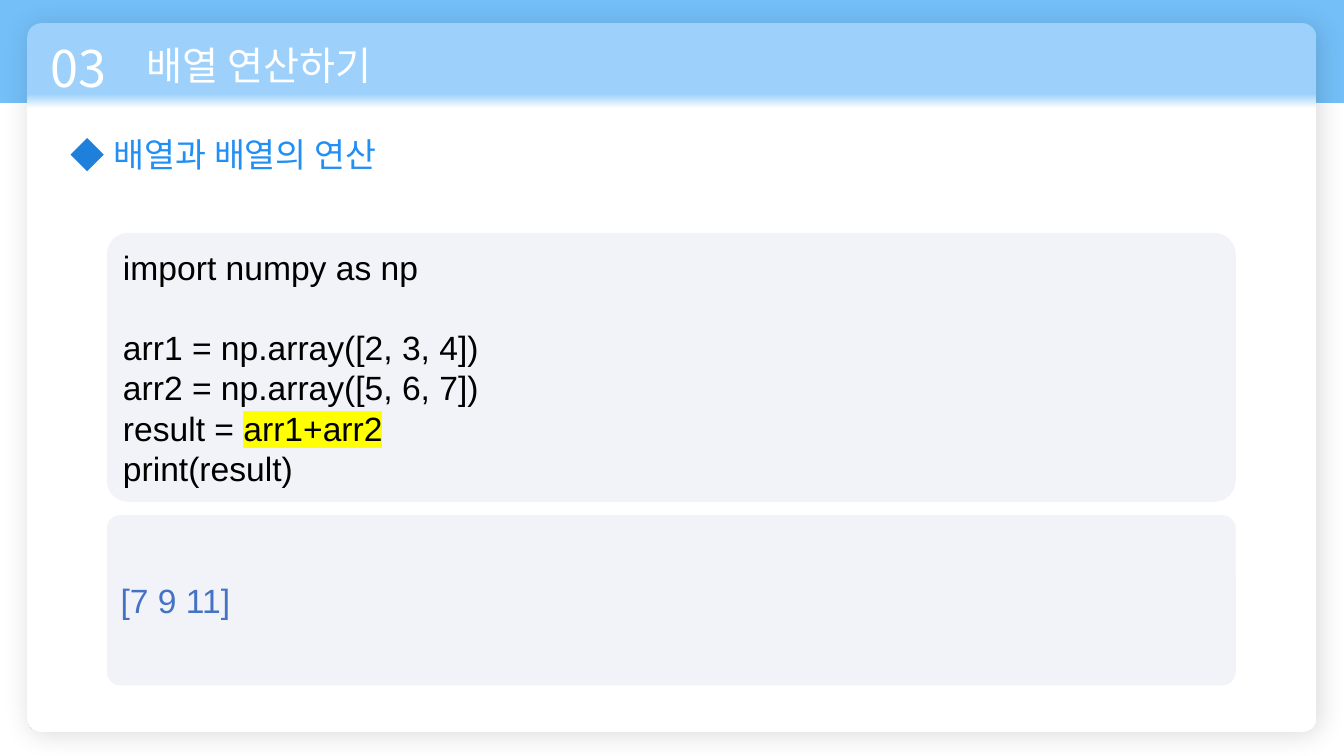
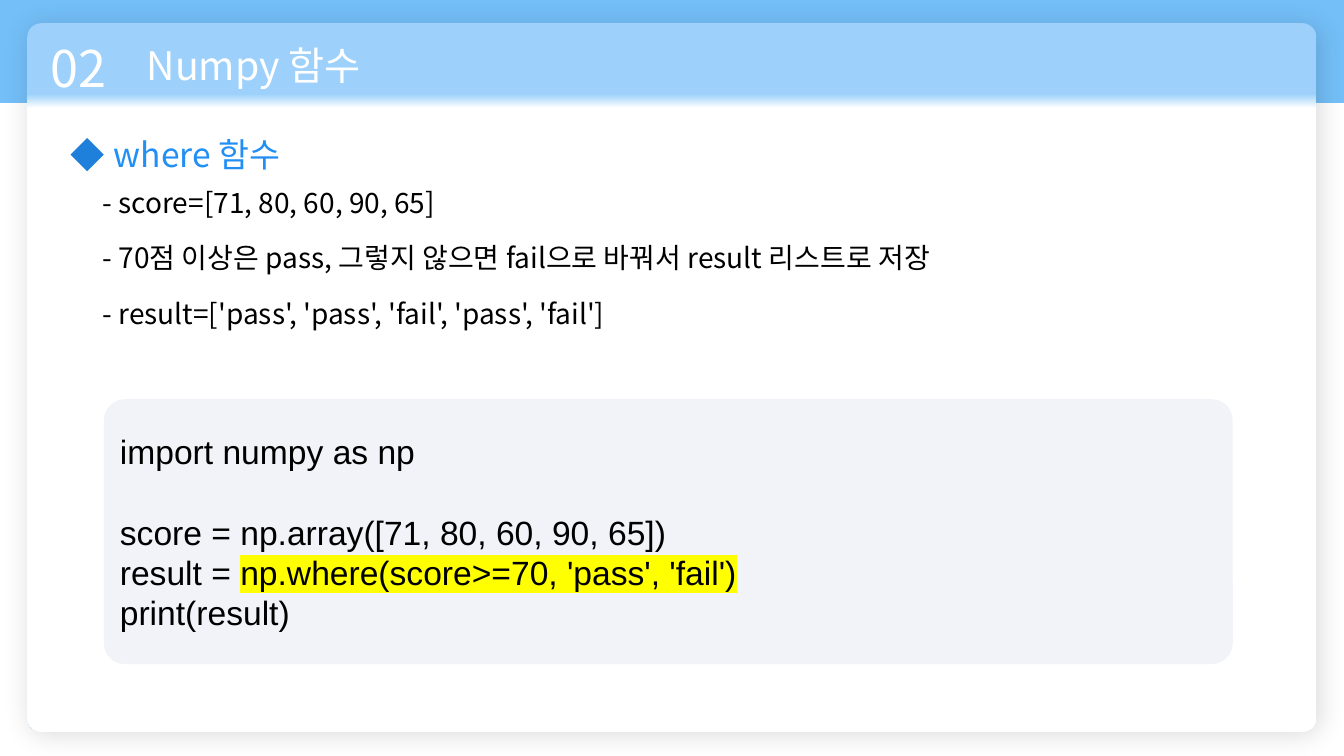
from dataclasses import dataclass

from lxml import etree
from pptx import Presentation
from pptx.dml.color import RGBColor
from pptx.enum.shapes import MSO_SHAPE
from pptx.enum.text import MSO_ANCHOR, MSO_AUTO_SIZE, PP_ALIGN
from pptx.oxml import parse_xml
from pptx.oxml.ns import nsdecls, qn
from pptx.shapes.autoshape import Shape
from pptx.slide import Slide
from pptx.text.text import TextFrame
from pptx.util import Inches, Pt

RECT, ROUND, GEM = MSO_SHAPE.RECTANGLE, MSO_SHAPE.ROUNDED_RECTANGLE, MSO_SHAPE.DIAMOND
LEFT, MIDDLE, GROW = PP_ALIGN.LEFT, MSO_ANCHOR.MIDDLE, MSO_AUTO_SIZE.SHAPE_TO_FIT_TEXT

WHITE = RGBColor(0xFF, 0xFF, 0xFF)
BLACK = RGBColor(0x00, 0x00, 0x00)
SKY = RGBColor(0x74, 0xBF, 0xF8)
PALE = RGBColor(0x9D, 0xD1, 0xFB)
BRIGHT = RGBColor(0x22, 0x8F, 0xF4)
DEEP = RGBColor(0x1F, 0x80, 0xDB)
GREY = RGBColor(0xF2, 0xF3, 0xF9)
BLUE = RGBColor(0x44, 0x72, 0xC4)
YELLOW = RGBColor(0xFF, 0xFF, 0x00)

SANS = "Noto Sans CJK KR"
CODE = "Arial"
CELL = Inches(0.1)
COLS, ROWS = 133.33, 75
PITCH = Pt(28.8)
NOTE_TOP, NOTE_STEP = 17.9, 5.5


@dataclass(frozen=True)
class Box:
    col: float
    row: float
    cols: float
    rows: float

    def place(self) -> tuple[int, ...]:
        return tuple(round(n * CELL) for n in (self.col, self.row, self.cols, self.rows))


@dataclass(frozen=True)
class Panel:
    box: Box
    code: str
    mark: str = ""
    ink: RGBColor = BLACK


@dataclass(frozen=True)
class Page:
    number: str
    title: str
    topic: str
    panels: tuple[Panel, ...]
    notes: tuple[str, ...] = ()


PAGES = (
    Page("03", "배열 연산하기", "배열과 배열의 연산", (
        Panel(Box(10.6, 23.1, 112, 26.7), """import numpy as np

arr1 = np.array([2, 3, 4])
arr2 = np.array([5, 6, 7])
result = arr1+arr2
print(result)""", "arr1+arr2"),
        Panel(Box(10.6, 51.1, 112, 16.9), "[7 9 11]", ink=BLUE),
    )),
    Page("02", "Numpy 함수", "where 함수", (
        Panel(Box(10.3, 39.6, 112, 26.3), """import numpy as np

score = np.array([71, 80, 60, 90, 65])
result = np.where(score>=70, 'pass', 'fail')
print(result)""", "np.where(score>=70, 'pass', 'fail')"),
    ), (
        "- score=[71, 80, 60, 90, 65]",
        "- 70점 이상은 pass, 그렇지 않으면 fail으로 바꿔서 result 리스트로 저장",
        "- result=['pass', 'pass', 'fail', 'pass', 'fail']",
    )),
)


def shape(slide: Slide, kind: MSO_SHAPE, box: Box, color: RGBColor) -> Shape:
    item = slide.shapes.add_shape(kind, *box.place())
    item.shadow.inherit = False
    item.line.fill.background()
    item.fill.solid()
    item.fill.fore_color.rgb = color
    return item


def label(slide: Slide, box: Box, text: str, size: int, color: RGBColor) -> None:
    frame = slide.shapes.add_textbox(*box.place()).text_frame
    frame.word_wrap = True
    frame.auto_size = GROW
    para = frame.paragraphs[0]
    para.text = text
    font = para.font
    font.name, font.size = SANS, Pt(size)
    font.color.rgb = color
    props = para._p.pPr.find(qn("a:defRPr"))
    etree.SubElement(props, qn("a:ea"), typeface=SANS)


def card(slide: Slide) -> None:
    item = shape(slide, ROUND, Box(2.7, 2.3, 127.9, 70.3), WHITE)
    item.adjustments[0] = 0.02
    item.fill.gradient()
    item.fill.gradient_angle = 270
    for stop, spot, color in zip(item.fill.gradient_stops, (0.1, 0.12), (PALE, WHITE)):
        stop.position = spot
        stop.color.rgb = color
    item._element.spPr.find(qn("a:effectLst")).append(parse_xml(
        f'<a:outerShdw {nsdecls("a")} blurRad="{Pt(20)}" dist="{Pt(3)}" dir="2700000">'
        f'<a:srgbClr val="{BLACK}"><a:alpha val="14000"/></a:srgbClr></a:outerShdw>'))


def write(frame: TextFrame, panel: Panel) -> None:
    gap = False
    para = frame.paragraphs[0]
    for line in panel.code.splitlines():
        if not line:
            gap = True
            continue
        if para.runs:
            para = frame.add_paragraph()
        para.alignment = LEFT
        para.line_spacing = PITCH
        if gap:
            para.space_before = PITCH
            gap = False
        font = para.font
        font.name, font.size = CODE, Pt(24)
        font.color.rgb = panel.ink
        head, mark, tail = line.partition(panel.mark) if panel.mark else (line, "", "")
        for part in filter(None, (head, mark, tail)):
            run = para.add_run()
            run.text = part
            if part == mark:
                props = run._r.get_or_add_rPr()
                light = etree.SubElement(props, qn("a:highlight"))
                etree.SubElement(light, qn("a:srgbClr"), val=str(YELLOW))


def draw(slide: Slide, page: Page) -> None:
    shape(slide, RECT, Box(0, 0, COLS, 10.2), SKY)
    card(slide)
    label(slide, Box(4, 3.2, 10.2, 7.1), page.number, 36, WHITE)
    label(slide, Box(13.6, 3.6, 49, 5.7), page.title, 28, WHITE)
    label(slide, Box(10.3, 12.8, 87.5, 5), page.topic, 24, BRIGHT)
    shape(slide, GEM, Box(7, 13.7, 3.3, 3.3), DEEP)
    for panel in page.panels:
        item = shape(slide, ROUND, panel.box, GREY)
        item.adjustments[0] = 0.08
        item.text_frame.word_wrap = True
        item.text_frame.vertical_anchor = MIDDLE
        write(item.text_frame, panel)
    for index, note in enumerate(page.notes):
        label(slide, Box(9.2, NOTE_TOP + index * NOTE_STEP, 108, 4.4), note, 20, BLACK)


def main() -> None:
    deck = Presentation()
    deck.slide_width, deck.slide_height = round(COLS * CELL), ROWS * CELL
    for page in PAGES:
        draw(deck.slides.add_slide(deck.slide_layouts[6]), page)
    deck.save("out.pptx")


if __name__ == "__main__":
    main()
